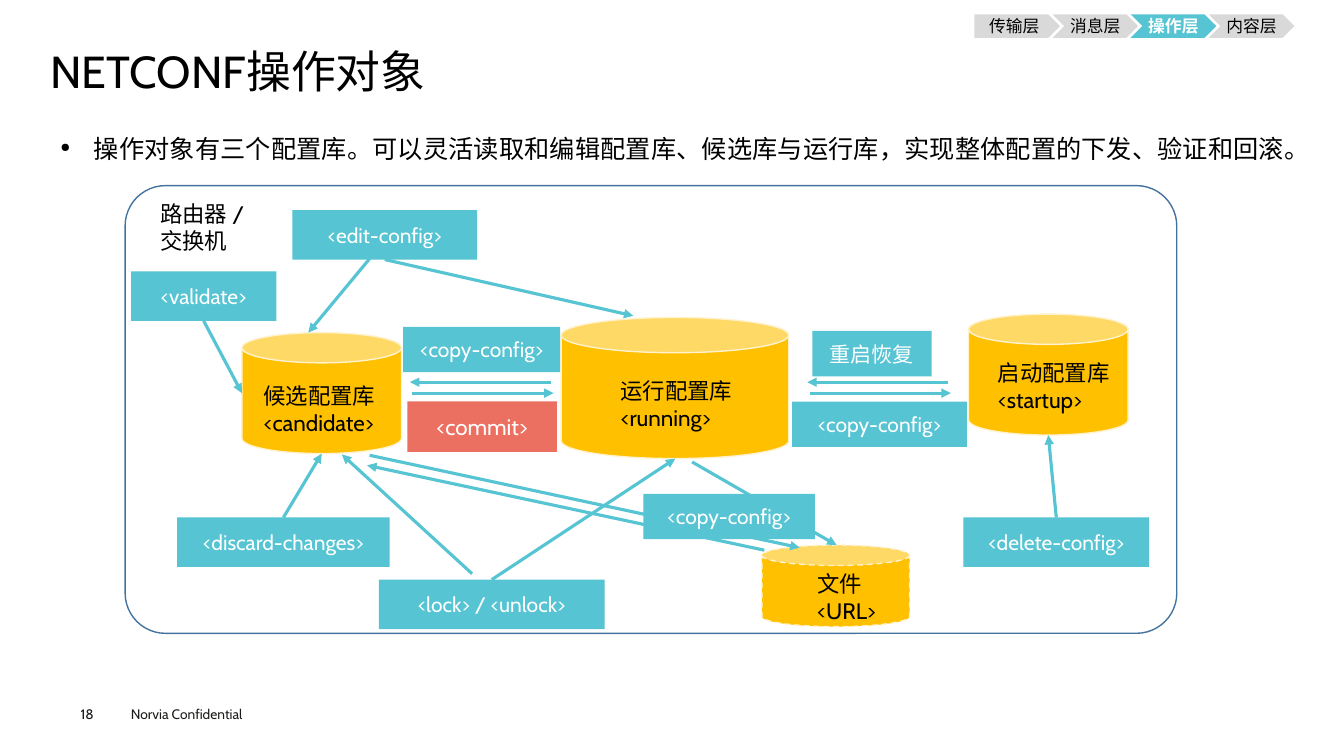
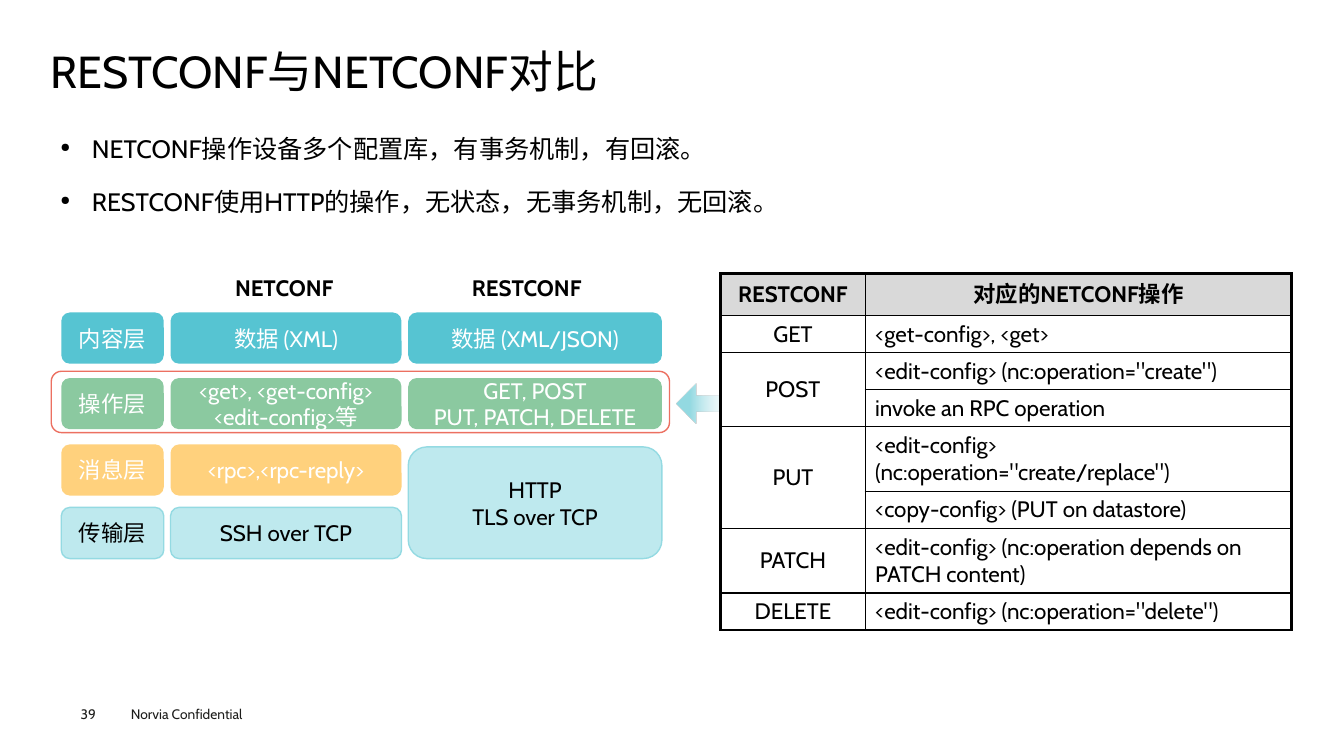
import lxml.etree
import pptx
import pptx.dml.color
import pptx.enum.dml
import pptx.enum.lang
import pptx.enum.shapes
import pptx.enum.text
import pptx.oxml.ns
import pptx.util

RGB = pptx.dml.color.RGBColor
BLACK = RGB(0x00, 0x00, 0x00)
WHITE = RGB(0xFF, 0xFF, 0xFF)
INK = RGB(0x1D, 0x1D, 0x1B)
GREY = RGB(0xD9, 0xD9, 0xD9)
TEAL = RGB(0x56, 0xC4, 0xD2)
SKY = RGB(0x94, 0xDA, 0xE2)
PALE = RGB(0xBE, 0xE9, 0xEE)
MIST = RGB(0xF7, 0xFA, 0xFD)
CORAL = RGB(0xEC, 0x70, 0x61)
GREEN = RGB(0x8B, 0xC9, 0xA0)
SAND = RGB(0xFF, 0xD1, 0x7D)
GOLD = RGB(0xFF, 0xC0, 0x00)
CREAM = RGB(0xFF, 0xF2, 0xCC)
NAVY = RGB(0x43, 0x73, 0x9E)

SHAPE = pptx.enum.shapes.MSO_SHAPE
ALIGN = pptx.enum.text.PP_ALIGN
ANCHOR = pptx.enum.text.MSO_ANCHOR
FONT = "Cabin"
FOOTER = "Norvia Confidential"
COLUMNS, ROWS = 160, 90
TOP, BOTTOM = 0, 2


def add_xml(parent, tag, **attributes):
    return lxml.etree.SubElement(parent, pptx.oxml.ns.qn(tag), **attributes)


class Deck:
    """Builds slides on a grid of 160 columns by 90 rows in one shared style."""

    def __init__(self):
        self.deck = pptx.Presentation()
        self.deck.slide_width = pptx.util.Inches(13.33)
        self.deck.slide_height = pptx.util.Inches(7.5)
        self.page = None

    def x(self, columns):
        return round(self.deck.slide_width * columns / COLUMNS)

    def y(self, rows):
        return round(self.deck.slide_height * rows / ROWS)

    def frame(self, left, top, width, height):
        return self.x(left), self.y(top), self.x(width), self.y(height)

    def start_page(self, title, number, points, indent):
        self.page = self.deck.slides.add_slide(self.deck.slide_layouts[6])
        self.text((14.4, 83.4, 19.2, 3.2), FOOTER, 9.8, INK)
        self.text((9.6, 84, 6.6, 1.9), number, 9.8, INK, inset=False)
        heading = self.text((6, 5.9, 148.2, 6.4), title, 32, inset=False)
        heading.text_frame.paragraphs[0].line_spacing = 0.9
        body = self.text((6, 13.8, 148.2, 64), "\n".join(points), 18, align=ALIGN.JUSTIFY)
        for index, para in enumerate(body.text_frame.paragraphs):
            margin = self.x(indent)
            properties = para._p.get_or_add_pPr()
            properties.set("marL", str(margin))
            properties.set("indent", str(-margin))
            add_xml(properties, "a:buSzPct", val="50000")
            add_xml(properties, "a:buChar", char="●")
            para.line_spacing = 1.4
            if index:
                para.space_before = pptx.util.Pt(7.9)

    def set_text(self, text_frame, text, size, color, align, bold=False):
        text_frame.text = text
        for para in text_frame.paragraphs:
            para.alignment = align
            for span in para.runs:
                span.font.size = pptx.util.Pt(size)
                span.font.bold = bold
                span.font.color.rgb = color
                span.font.name = FONT
                span.font.language_id = pptx.enum.lang.MSO_LANGUAGE_ID.SIMPLIFIED_CHINESE
                add_xml(span._r.get_or_add_rPr(), "a:ea", typeface=FONT)

    def clear_insets(self, text_frame):
        text_frame.margin_left = text_frame.margin_right = 0
        text_frame.margin_top = text_frame.margin_bottom = 0

    def text(self, place, text, size=16, color=BLACK, align=ALIGN.LEFT, bold=False, inset=True):
        box = self.page.shapes.add_textbox(*self.frame(*place))
        box.text_frame.word_wrap = True
        if not inset:
            self.clear_insets(box.text_frame)
        self.set_text(box.text_frame, text, size, color, align, bold)
        return box

    def shape(self, kind, place, fill=None, line=None, text="", size=16,
              color=WHITE, bold=False, inset=True):
        box = self.page.shapes.add_shape(kind, *self.frame(*place))
        box.shadow.inherit = False
        if fill is None:
            box.fill.background()
        else:
            box.fill.solid()
            box.fill.fore_color.rgb = fill
        if line is None:
            box.line.fill.background()
        else:
            box.line.color.rgb = line
            box.line.width = pptx.util.Pt(1)
        if text:
            box.text_frame.vertical_anchor = ANCHOR.MIDDLE
            if not inset:
                self.clear_insets(box.text_frame)
            self.set_text(box.text_frame, text, size, color, ALIGN.CENTER, bold)
        return box

    def operation(self, place, text, fill=TEAL, size=15):
        return self.shape(SHAPE.RECTANGLE, place, fill, text=text, size=size)

    def store(self, place, label_place, label):
        can = self.shape(SHAPE.CAN, place, GOLD, CREAM)
        self.text(label_place, label)
        return can

    def arrow(self, start, end, box=None, side=TOP):
        line = self.page.shapes.add_connector(
            pptx.enum.shapes.MSO_CONNECTOR.STRAIGHT,
            self.x(start[0]), self.y(start[1]), self.x(end[0]), self.y(end[1]))
        if box is not None:
            line.begin_connect(box, side)
        line.line.color.rgb = TEAL
        line.line.width = pptx.util.Pt(2.25)
        properties = line._element.spPr
        add_xml(properties.find(pptx.oxml.ns.qn("a:ln")), "a:tailEnd", type="triangle")
        add_xml(properties, "a:effectLst")

    def arrow_from(self, box, side, end):
        self.arrow((0, 0), end, box, side)

    def breadcrumb(self, names, active):
        for index, name in enumerate(names):
            current = name == active
            self.shape(SHAPE.CHEVRON if index else SHAPE.PENTAGON,
                       (116 + 9.3 * index, 1.7, 10.2, 2.8), TEAL if current else GREY,
                       text=name, size=12, color=WHITE if current else BLACK,
                       bold=current, inset=False)

    def fading_arrow(self, place):
        arrow = self.shape(SHAPE.LEFT_ARROW, place)
        arrow.adjustments[0], arrow.adjustments[1] = 0.4, 0.5
        arrow.fill.gradient()
        arrow.fill.gradient_angle = 0
        stops = arrow.fill.gradient_stops
        for stop, color, position in zip(stops, (SKY, MIST), (0.19, 0.85)):
            stop.color.rgb = color
            stop.position = position
        faded = arrow._element.spPr.findall(".//" + pptx.oxml.ns.qn("a:srgbClr"))[-1]
        add_xml(faded, "a:alpha", val="0")

    def border(self, cell, edges):
        properties = cell._tc.get_or_add_tcPr()
        for index, (side, outer) in enumerate(edges.items()):
            width = pptx.util.Pt(2.25 if outer else 1)
            line = add_xml(properties, "a:ln" + side, w=str(int(width)))
            add_xml(add_xml(line, "a:solidFill"), "a:srgbClr", val=str(BLACK))
            properties.insert(index, line)

    def table(self, left, top, widths, heights, rows):
        table = self.page.shapes.add_table(
            len(rows), len(widths),
            *self.frame(left, top, sum(widths), sum(heights))).table
        for column, width in zip(table.columns, widths):
            column.width = self.x(width)
        for row, height in zip(table.rows, heights):
            row.height = self.y(height)
        last_row, last_column = len(rows) - 1, len(widths) - 1
        for r, values in enumerate(rows):
            for c, value in enumerate(values):
                cell = table.cell(r, c)
                cell.fill.solid()
                cell.fill.fore_color.rgb = WHITE if r else GREY
                cell.vertical_anchor = ANCHOR.MIDDLE
                align = ALIGN.LEFT if r and c else ALIGN.CENTER
                self.set_text(cell.text_frame, value, 16, BLACK, align, r == 0)
                self.border(cell, {"L": c == 0, "R": c == last_column,
                                   "T": r == 0, "B": r == last_row})
                if r and c == 0 and not value:
                    table.cell(r - 1, 0).merge(cell)


def build_datastores(deck):
    deck.start_page("NETCONF操作对象", "18", [
        "操作对象有三个配置库。可以灵活读取和编辑配置库、候选库与运行库，实现整体配置的下发、验证和回滚。"], 4)
    device = deck.shape(SHAPE.ROUNDED_RECTANGLE, (14.9, 22.1, 125.2, 53.3), line=NAVY)
    device.adjustments[0] = 0.09
    deck.text((17.9, 23.2, 13.7, 7.7), "路由器 /\n交换机")

    deck.store((115.3, 37.4, 19, 14.4), (117.6, 42.2, 16.3, 7.7), "启动配置库\n<startup>")
    deck.store((66.8, 37.8, 27.1, 16.8), (72.7, 44.3, 17.6, 7.7), "运行配置库\n<running>")
    deck.store((28.8, 39.6, 19, 14.4), (30.2, 44.9, 20, 7.7), "候选配置库\n<candidate>")
    url_file = deck.store((90.7, 64.9, 17.6, 9.7), (96.1, 67.3, 12.2, 7.7), "文件\n<URL>")
    url_file.line.dash_style = pptx.enum.dml.MSO_LINE.DASH

    edit = deck.operation((34.8, 25, 22, 5.9), "<edit-config>")
    validate = deck.operation((15.6, 32.3, 17.3, 5.9), "<validate>")
    discard = deck.operation((21.1, 61.6, 25.3, 5.9), "<discard-changes>")
    lock = deck.operation((45.1, 69, 26.9, 5.9), "<lock> / <unlock>")
    delete = deck.operation((114.7, 61.6, 22.1, 5.9), "<delete-config>")
    deck.operation((48, 38.9, 18.7, 5.4), "<copy-config>")
    deck.operation((48.5, 47.8, 17.8, 6), "<commit>", CORAL, 16)
    deck.operation((94.3, 47.8, 20.8, 5.4), "<copy-config>")
    deck.operation((96.7, 39.4, 14.2, 5.4), "重启恢复")

    for left in (48.8, 96.1):
        deck.arrow((left + 16.8, 45.5), (left, 45.5))
        deck.arrow((left + 0.3, 46.8), (left + 17.1, 46.8))
    for box, side, end in (
            (edit, BOTTOM, (75.4, 37.6)), (validate, BOTTOM, (28.8, 46.8)),
            (discard, TOP, (38.3, 54)), (lock, TOP, (80.4, 54.6)),
            (delete, TOP, (124.8, 51.8))):
        deck.arrow_from(box, side, end)
    for start, end in (
            ((44, 30.8), (36.7, 39.6)), ((56.2, 68.3), (40.7, 54.1)),
            ((44, 54.2), (95.2, 65.2)), ((91, 65.5), (43.7, 55.4)),
            ((82.4, 55), (99.6, 64.9))):
        deck.arrow(start, end)
    deck.operation((76.6, 58.8, 20.4, 5.4), "<copy-config>")
    deck.breadcrumb(["传输层", "消息层", "操作层", "内容层"], "操作层")


def build_comparison(deck):
    deck.start_page("RESTCONF与NETCONF对比", "39", [
        "NETCONF操作设备多个配置库，有事务机制，有回滚。",
        "RESTCONF使用HTTP的操作，无状态，无事务机制，无回滚。"], 3.75)
    deck.fading_arrow((80.6, 45.7, 8.5, 4.7))
    deck.text((26.8, 32, 15.1, 4.4), "NETCONF", bold=True)
    deck.text((55, 32, 16.2, 4.4), "RESTCONF", bold=True)

    columns = ((7.3, 12.2), (20.3, 27.5), (48.6, 30.2))
    layers = (
        (37.2, TEAL, None, WHITE, ("内容层", "数据 (XML)", "数据 (XML/JSON)")),
        (45, GREEN, None, WHITE, ("操作层", "<get>, <get-config>\n<edit-config>等",
                                  "GET, POST\nPUT, PATCH, DELETE")),
        (52.9, SAND, None, WHITE, ("消息层", "<rpc>,<rpc-reply>")),
        (60.4, PALE, SKY, BLACK, ("传输层", "SSH over TCP")))
    for top, fill, line, color, names in layers:
        for (left, width), name in zip(columns, names):
            deck.shape(SHAPE.ROUNDED_RECTANGLE, (left, top, width, 6.1), fill, line, name, color=color)
    deck.shape(SHAPE.ROUNDED_RECTANGLE, (48.6, 53.2, 30.2, 13.3), PALE, SKY,
               "HTTP\nTLS over TCP", color=BLACK)
    deck.shape(SHAPE.ROUNDED_RECTANGLE, (6.1, 44.2, 73.6, 7.3), line=CORAL)

    deck.table(85.8, 32.6, (17.2, 50.8), (5, 4.4, 4.4, 4.4, 7.7, 4.4, 7.7, 4.4), (
        ("RESTCONF", "对应的NETCONF操作"),
        ("GET", "<get-config>, <get>"),
        ("POST", '<edit-config> (nc:operation="create")'),
        ("", "invoke an RPC operation"),
        ("PUT", '<edit-config> (nc:operation="create/replace")'),
        ("", "<copy-config> (PUT on datastore)"),
        ("PATCH", "<edit-config> (nc:operation depends on PATCH content)"),
        ("DELETE", '<edit-config> (nc:operation="delete")')))


def main():
    deck = Deck()
    build_datastores(deck)
    build_comparison(deck)
    deck.deck.save("out.pptx")


if __name__ == "__main__":
    main()
